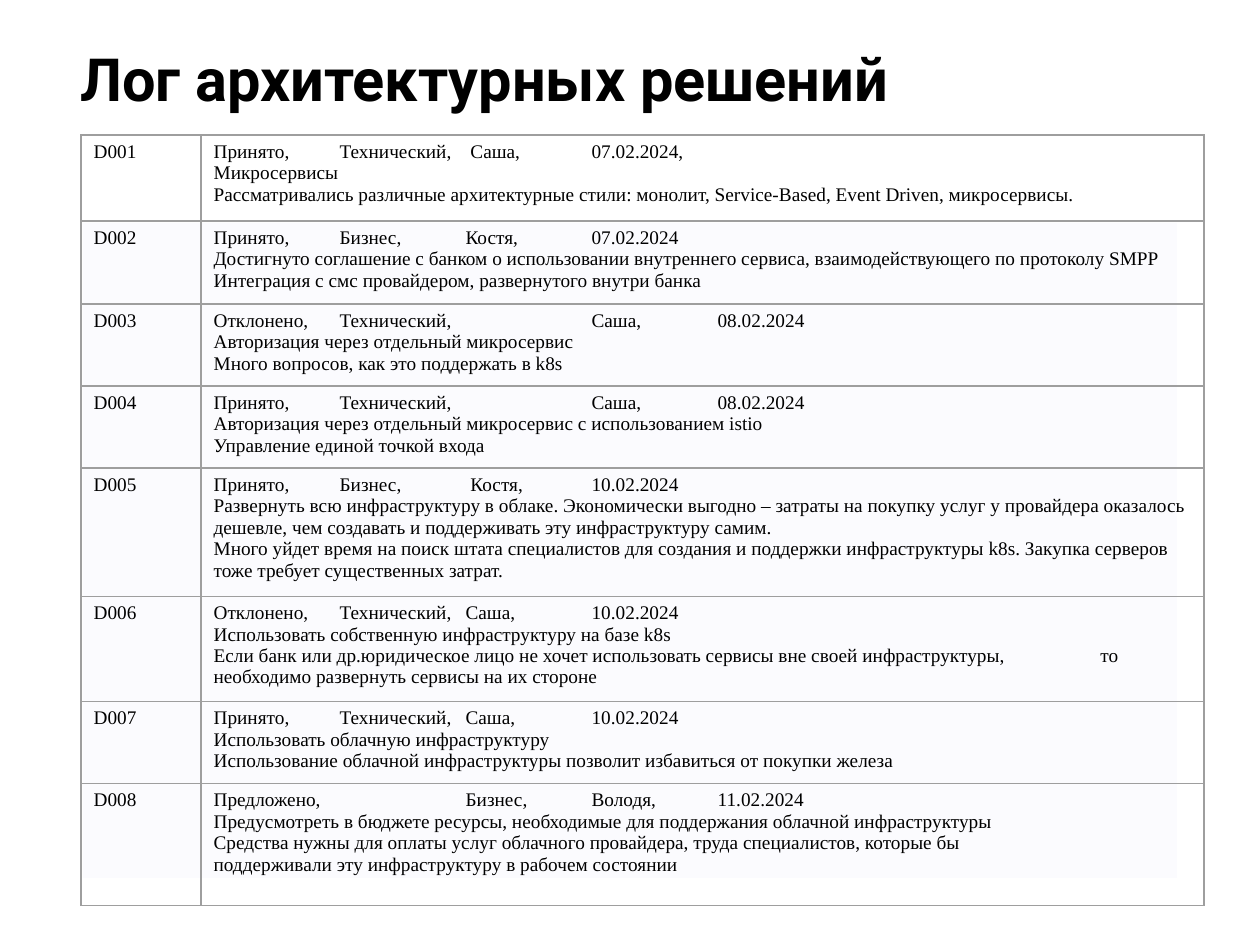
from dataclasses import dataclass

from lxml import etree
from pptx import Presentation
from pptx import util as u
from pptx.dml.color import RGBColor
from pptx.enum import shapes, text
from pptx.oxml import ns

PX_PER_INCH = 126
BLACK = RGBColor(0x00, 0x00, 0x00)
WHITE = RGBColor(0xFF, 0xFF, 0xFF)
PANEL = RGBColor(0xFB, 0xFB, 0xFE)
RULE = RGBColor(0x9E, 0x9E, 0x9E)
TITLE_FONT = "Roboto"
LOG_FONT = "Times New Roman"
TAB_STEP = 126
TAB_COUNT = 7
COLUMN_WIDTHS = (120, 1003)


def px(length: int) -> u.Emu:
    return u.Emu(round(length * u.Inches(1) / PX_PER_INCH))


@dataclass(frozen=True)
class Decision:
    code: str
    height: int
    lines: tuple[str, ...]


DECISIONS = (
    Decision("D001", 86, (
        "Принято,\tТехнический,\t Саша,\t07.02.2024,",
        "Микросервисы",
        "Рассматривались различные архитектурные стили: монолит, "
        "Service-Based, Event Driven, микросервисы.",
    )),
    Decision("D002", 83, (
        "Принято,\tБизнес,\tКостя,\t07.02.2024",
        "Достигнуто соглашение с банком о использовании внутреннего сервиса, "
        "взаимодействующего по протоколу SMPP",
        "Интеграция с смс провайдером, развернутого внутри банка",
    )),
    Decision("D003", 80, (
        "Отклонено,\tТехнический,\t\tСаша,\t08.02.2024",
        "Авторизация через отдельный микросервис",
        "Много вопросов, как это поддержать в k8s",
    )),
    Decision("D004", 80, (
        "Принято,\tТехнический,\t\tСаша,\t08.02.2024",
        "Авторизация через отдельный микросервис с использованием istio",
        "Управление единой точкой входа",
    )),
    Decision("D005", 125, (
        "Принято,\tБизнес,\t Костя,\t10.02.2024",
        "Развернуть всю инфраструктуру в облаке. Экономически выгодно – "
        "затраты на покупку услуг у провайдера оказалось дешевле, "
        "чем создавать и поддерживать эту инфраструктуру самим.",
        "Много уйдет время на поиск штата специалистов для создания и "
        "поддержки инфраструктуры k8s. Закупка серверов тоже требует "
        "существенных затрат.",
    )),
    Decision("D006", 102, (
        "Отклонено,\tТехнический,\tСаша,\t10.02.2024",
        "Использовать собственную инфраструктуру на базе k8s",
        "Если банк или др.юридическое лицо не хочет использовать сервисы "
        "вне своей инфраструктуры,\t то необходимо развернуть сервисы "
        "на их стороне",
    )),
    Decision("D007", 80, (
        "Принято,\tТехнический,\tСаша,\t10.02.2024",
        "Использовать облачную инфраструктуру",
        "Использование облачной инфраструктуры позволит избавиться "
        "от покупки железа",
    )),
    Decision("D008", 122, (
        "Предложено,\t\tБизнес,\tВолодя,\t11.02.2024",
        "Предусмотреть в бюджете ресурсы, необходимые для поддержания "
        "облачной инфраструктуры",
        "Средства нужны для оплаты услуг облачного провайдера, "
        "труда специалистов, которые бы",
        "поддерживали эту инфраструктуру в рабочем состоянии",
    )),
)


def style_run(run, font: str, size: int, bold: bool = False) -> None:
    run.font.name = font
    run.font.size = u.Pt(size)
    run.font.bold = bold
    run.font.color.rgb = BLACK


def add_tab_stops(paragraph) -> None:
    stops = etree.SubElement(paragraph._p.get_or_add_pPr(), ns.qn("a:tabLst"))
    for number in range(1, TAB_COUNT + 1):
        etree.SubElement(stops, ns.qn("a:tab"),
                         pos=str(px(number * TAB_STEP)), algn="l")


def add_borders(cell) -> None:
    properties = cell._tc.get_or_add_tcPr()
    for side in ("lnL", "lnR", "lnT", "lnB"):
        line = etree.SubElement(properties, ns.qn(f"a:{side}"),
                                w=str(u.Pt(0.75)))
        fill = etree.SubElement(line, ns.qn("a:solidFill"))
        etree.SubElement(fill, ns.qn("a:srgbClr"), val=str(RULE))


def fill_cell(cell, lines: tuple[str, ...]) -> None:
    add_borders(cell)
    cell.fill.background()
    cell.margin_left = cell.margin_right = u.Inches(0.1)
    cell.margin_top = cell.margin_bottom = u.Inches(0.05)
    cell.vertical_anchor = text.MSO_ANCHOR.TOP
    cell.text_frame.text = "\n".join(lines)
    for paragraph in cell.text_frame.paragraphs:
        if "\t" in paragraph.text:
            add_tab_stops(paragraph)
        for run in paragraph.runs:
            style_run(run, LOG_FONT, 11)


def add_panel(slide) -> None:
    panel = slide.shapes.add_shape(shapes.MSO_SHAPE.RECTANGLE,
                                   px(83), px(223), px(1094), px(655))
    panel.shadow.inherit = False
    panel.fill.solid()
    panel.fill.fore_color.rgb = PANEL
    panel.line.fill.background()


def add_title(slide) -> None:
    frame = slide.shapes.add_textbox(px(68), px(29), px(1174), px(155)).text_frame
    frame.word_wrap = True
    frame.vertical_anchor = text.MSO_ANCHOR.TOP
    frame.margin_left = frame.margin_right = u.Inches(0.1)
    frame.margin_top = frame.margin_bottom = u.Inches(0.1)
    frame.text = "Лог архитектурных решений"
    style_run(frame.paragraphs[0].runs[0], TITLE_FONT, 34, bold=True)


def add_log(slide) -> None:
    height = sum(decision.height for decision in DECISIONS)
    log = slide.shapes.add_table(len(DECISIONS), len(COLUMN_WIDTHS), px(81), px(135),
                                 px(sum(COLUMN_WIDTHS)), px(height)).table
    log.first_row = log.horz_banding = False
    for column, width in zip(log.columns, COLUMN_WIDTHS):
        column.width = px(width)
    for row, decision in zip(log.rows, DECISIONS):
        row.height = px(decision.height)
        fill_cell(row.cells[0], (decision.code,))
        fill_cell(row.cells[1], decision.lines)


def main() -> None:
    deck = Presentation()
    deck.slide_width, deck.slide_height = px(1260), px(945)
    slide = deck.slides.add_slide(deck.slide_layouts[6])
    slide.background.fill.solid()
    slide.background.fill.fore_color.rgb = WHITE

    # Pale panel behind the log, then the heading and the decisions
    add_panel(slide)
    add_title(slide)
    add_log(slide)
    deck.save("out.pptx")


if __name__ == "__main__":
    main()
